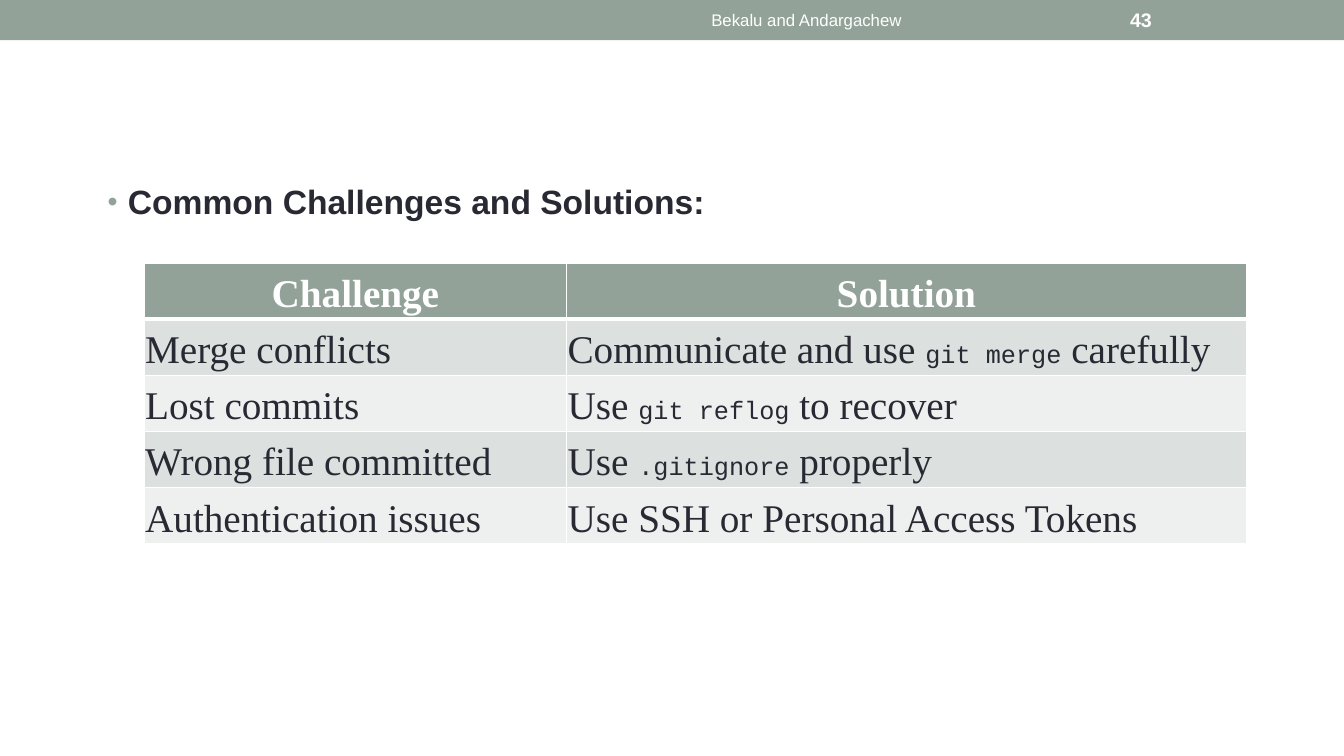
from lxml.etree import SubElement
from pptx import Presentation
from pptx.dml.color import RGBColor
from pptx.enum.shapes import MSO_SHAPE as Shape
from pptx.enum.text import MSO_ANCHOR as Anchor, PP_ALIGN as Align
from pptx.oxml.ns import qn
from pptx.util import Inches, Pt

SAGE, INK, WHITE = "93A299", "292934", "FFFFFF"
BANDS = ("DCE0DE", "EEF0EF")
CHALLENGES = [
    ("Challenge", "Solution"),
    ("Merge conflicts", "Communicate and use `git merge` carefully"),
    ("Lost commits", "Use `git reflog` to recover"),
    ("Wrong file committed", "Use `.gitignore` properly"),
    ("Authentication issues", "Use SSH or Personal Access Tokens"),
]


def color(code):
    """Turn a hex string into a colour."""
    return RGBColor.from_string(code)


def write(frame, text, size, ink, font="Arial", bold=False, align=Align.LEFT, spacing=None):
    """Fill a text frame, setting parts between backticks as code."""
    paragraph = frame.paragraphs[0]
    paragraph.alignment = align
    paragraph.line_spacing = spacing
    for index, part in enumerate(text.split("`")):
        is_code = index % 2 == 1
        run = paragraph.add_run()
        run.text = part
        run.font.name = "Courier New" if is_code else font
        run.font.size = Pt(18 if is_code else size)
        run.font.bold = bold
        run.font.color.rgb = color(ink)
    return paragraph


def add_text(slide, box, text, size, ink, anchor=Anchor.MIDDLE, **style):
    """Add a wrapping text box and return its paragraph."""
    frame = slide.shapes.add_textbox(*map(Inches, box)).text_frame
    frame.word_wrap = True
    frame.vertical_anchor = anchor
    return write(frame, text, size, ink, **style)


def add_header(slide, left, top, width, height):
    """Draw the top band with the authors and the page number."""
    band = slide.shapes.add_shape(Shape.RECTANGLE, *map(Inches, (left, top, width, height)))
    band.shadow.inherit = False
    band.fill.solid()
    band.fill.fore_color.rgb = color(SAGE)
    band.line.fill.background()
    add_text(slide, (left + 5, top + 0.02, 6, height - 0.04),
             "Bekalu and Andargachew", 12, WHITE, align=Align.CENTER)
    add_text(slide, (left + 11.11, top + 0.02, 1.56, height - 0.04), "43", 14, WHITE, bold=True)


def add_heading(slide, left, top, width, height):
    """Add the bulleted heading."""
    heading = add_text(slide, (left, top, width, height), "Common Challenges and Solutions:",
                       24, INK, anchor=Anchor.TOP, bold=True)
    heading.space_before = Pt(4.8)
    props = heading._p.get_or_add_pPr()
    props.set("marL", str(Inches(0.5)))
    props.set("indent", str(Inches(-0.2)))
    SubElement(SubElement(props, qn("a:buClr")), qn("a:srgbClr"), val=SAGE)
    SubElement(props, qn("a:buSzPct"), val="85000")
    SubElement(props, qn("a:buFont"), typeface="Arial")
    SubElement(props, qn("a:buChar"), char="•")


def add_borders(cell, **widths):
    """Draw white cell borders with the given widths in points."""
    props = cell._tc.get_or_add_tcPr()
    for side, points in widths.items():
        line = SubElement(props, qn(f"a:ln{side}"), w=str(Pt(points)))
        SubElement(SubElement(line, qn("a:solidFill")), qn("a:srgbClr"), val=WHITE)


def add_challenges(slide, left, top, widths, row_height):
    """Add the table of challenges and solutions."""
    box = (left, top, sum(widths), row_height * len(CHALLENGES))
    table = slide.shapes.add_table(len(CHALLENGES), len(widths), *map(Inches, box)).table
    for column, width in zip(table.columns, widths):
        column.width = Inches(width)
    for r, entries in enumerate(CHALLENGES):
        is_head = r == 0
        for c, entry in enumerate(entries):
            cell = table.cell(r, c)
            cell.margin_left = cell.margin_right = Inches(0.01)
            cell.margin_top = cell.margin_bottom = Inches(0.01)
            cell.vertical_anchor = Anchor.MIDDLE
            add_borders(cell, L=1, R=1, T=3 if r == 1 else 1, B=3 if is_head else 1)
            cell.fill.solid()
            cell.fill.fore_color.rgb = color(SAGE if is_head else BANDS[(r - 1) % 2])
            write(cell.text_frame, entry, 28, WHITE if is_head else INK,
                  font="Times New Roman", bold=is_head, spacing=1.15,
                  align=Align.CENTER if is_head else Align.LEFT)


def main():
    """Build and save the slide."""
    deck = Presentation()
    deck.slide_width, deck.slide_height = Inches(13.33), Inches(7.5)
    slide = deck.slides.add_slide(deck.slide_layouts[6])
    add_header(slide, 0, 0, 13.33, 0.4)
    add_heading(slide, 0.67, 1.75, 12, 5.33)
    add_challenges(slide, 1.43, 2.61, (4.19, 6.74), 0.41)
    deck.save("out.pptx")


if __name__ == "__main__":
    main()
